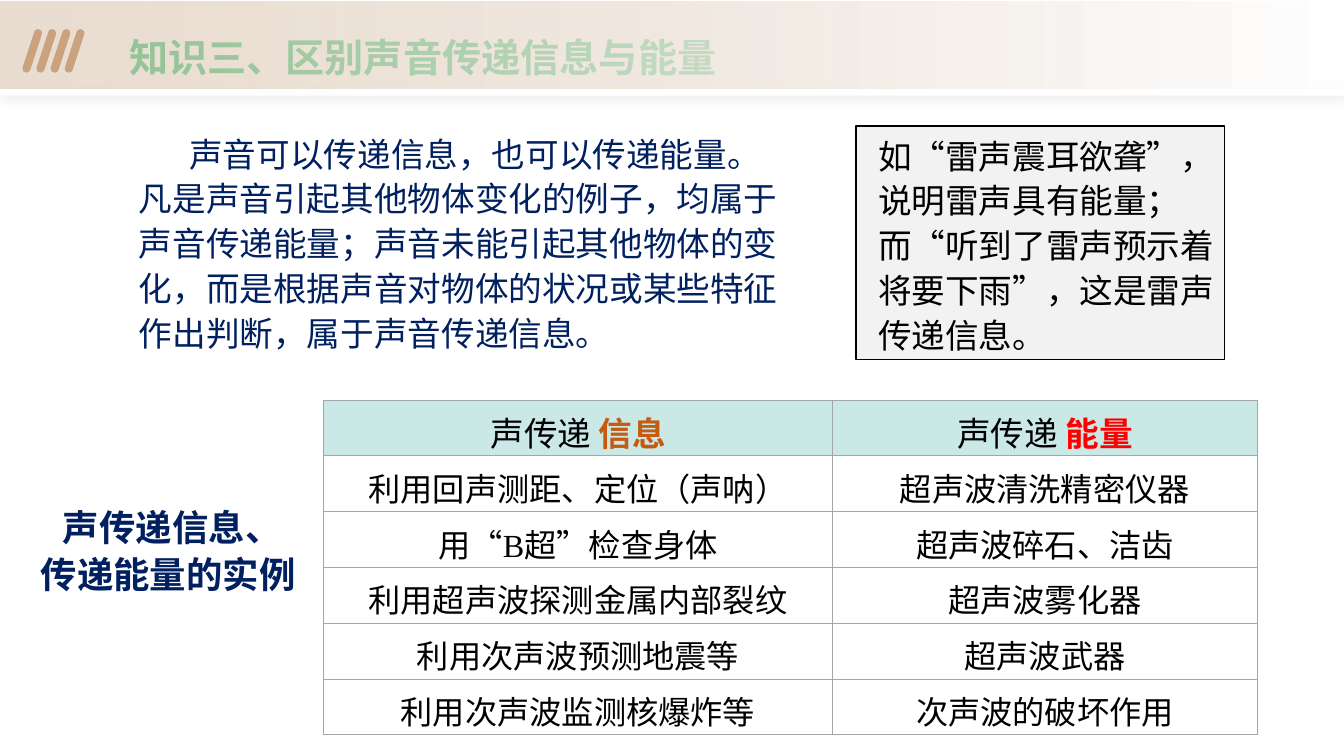
from pptx import Presentation
from pptx.dml.color import RGBColor
from pptx.enum.lang import MSO_LANGUAGE_ID as Language
from pptx.enum.shapes import MSO_SHAPE as Shape
from pptx.enum.text import MSO_ANCHOR as Anchor, PP_ALIGN as Align
from pptx.oxml.ns import qn
from pptx.util import Inches, Pt
from lxml.etree import SubElement

LATIN, CHINESE = "Times New Roman", "Noto Sans CJK SC"
BLACK, NAVY, WHITE = "000000", "002060", "FFFFFF"
WIDTH, HEIGHT = 13.33, 7.5

TITLE = "知识三、区别声音传递信息与能量"
RULE = ("声音可以传递信息，也可以传递能量。凡是声音引起其他物体变化的例子，"
        "均属于声音传递能量；声音未能引起其他物体的变化，而是根据声音对物体的状况"
        "或某些特征作出判断，属于声音传递信息。")
EXAMPLE = ("如“雷声震耳欲聋”，说明雷声具有能量；"
           "而“听到了雷声预示着将要下雨”，这是雷声传递信息。")
CAPTION = ["声传递信息、", "传递能量的实例 "]
HEADINGS = [("声传递 ", "信息", "C55A11"), ("声传递 ", "能量", "FF0000")]
ROWS = [
    (["利用回声测距、定位（声呐）"], ["超声波清洗精密仪器"]),
    (["用", "“", "B", "超”", "检查身体"], ["超声波碎石、洁齿"]),
    (["利用超声波探测金属内部裂纹"], ["超声波雾化器"]),
    (["利用次声波预测地震等"], ["超声波武器"]),
    (["利用次声波监测核爆炸等"], ["次声波的破坏作用"]),
]
COLUMN_WIDTHS = [5.05, 4.21]
ROW_HEIGHT = 3.32 / (len(ROWS) + 1)


def color(value):
    return RGBColor.from_string(value)


def box(left, top, width, height):
    return [Inches(length) for length in (left, top, width, height)]


def add_run(paragraph, text, size, value=BLACK, bold=False):
    run = paragraph.add_run()
    run.text = text
    font = run.font
    font.size, font.bold, font.name = Pt(size), bold, LATIN
    font.color.rgb = color(value)
    font.language_id = Language.SIMPLIFIED_CHINESE
    quoted = any(mark in text for mark in "“”") and len(text) < 3
    if quoted:
        font.name = CHINESE
    SubElement(run.font._element, qn("a:ea"), typeface=CHINESE)


def set_frame(frame, horizontal=0.1, vertical=0.05, anchor=Anchor.TOP):
    frame.word_wrap = True
    frame.vertical_anchor = anchor
    frame.margin_left = frame.margin_right = Inches(horizontal)
    frame.margin_top = frame.margin_bottom = Inches(vertical)


def set_indent(paragraph, left, first):
    properties = paragraph._p.get_or_add_pPr()
    properties.set("marL", str(Inches(left)))
    properties.set("indent", str(Inches(first)))


def add_shape(kind, place, fill, line=None):
    shape = slide.shapes.add_shape(kind, *box(*place))
    shape.shadow.inherit = False
    shape.fill.solid()
    shape.fill.fore_color.rgb = color(fill)
    if line:
        shape.line.color.rgb = color(line)
        shape.line.width = Pt(0.75)
    else:
        shape.line.fill.background()
    return shape


def add_border(cell, side):
    line = SubElement(cell._tc.get_or_add_tcPr(), qn("a:" + side), w=str(Pt(0.75)))
    fill = SubElement(line, qn("a:solidFill"))
    SubElement(fill, qn("a:srgbClr"), val="A6A6A6")


def format_cell(cell, fill=None):
    for side in ("lnL", "lnR", "lnT", "lnB"):
        add_border(cell, side)
    if fill:
        cell.fill.solid()
        cell.fill.fore_color.rgb = color(fill)
    else:
        cell.fill.background()
    cell.vertical_anchor = Anchor.MIDDLE
    cell.margin_left = cell.margin_right = Inches(0.1)
    cell.margin_top = cell.margin_bottom = 0
    paragraph = cell.text_frame.paragraphs[0]
    paragraph.alignment = Align.CENTER
    paragraph.line_spacing = 1.15
    return paragraph


presentation = Presentation()
presentation.slide_width, presentation.slide_height = Inches(WIDTH), Inches(HEIGHT)
slide = presentation.slides.add_slide(presentation.slide_layouts[5])

edge = add_shape(Shape.RECTANGLE, (0, 0.88, WIDTH, 0.07), WHITE)
shadow = SubElement(edge._element.spPr.find(qn("a:effectLst")), qn("a:outerShdw"),
                    blurRad=str(Pt(8)), dist=str(Pt(3)), dir=str(45 * 60000))
tint = SubElement(shadow, qn("a:srgbClr"), val=BLACK)
SubElement(tint, qn("a:alpha"), val="10000")

banner = add_shape(Shape.RECTANGLE, (0, 0.02, WIDTH, 0.86), WHITE)
banner.fill.gradient()
banner.fill.gradient_angle = 0
for stop, value, position in zip(banner.fill.gradient_stops, ("DECAB7", WHITE), (0, 1)):
    stop.color.rgb = color(value)
    stop.position = position
first_color = next(banner._element.spPr.iter(qn("a:srgbClr")))
SubElement(first_color, qn("a:alpha"), val="63000")

for index in range(4):
    stripe = add_shape(Shape.ROUNDED_RECTANGLE, (0.28 + 0.14 * index, 0.28, 0.08, 0.45), "CAA27E")
    stripe.adjustments[0] = 0.5
    stripe.rotation = 18.1

title = slide.shapes.title
title.left, title.top, title.width, title.height = box(1.28, 0.33, 6.23, 0.47)
set_frame(title.text_frame, 0, 0)
heading = title.text_frame.paragraphs[0]
heading.alignment = Align.LEFT
add_run(heading, TITLE, 28, "00B050", True)

rule = slide.shapes.add_textbox(*box(1.28, 1.23, 6.54, 2.31))
set_frame(rule.text_frame)
paragraph = rule.text_frame.paragraphs[0]
set_indent(paragraph, 0, 0.5)
paragraph.line_spacing = Pt(32)
add_run(paragraph, RULE, 24, NAVY)

table = slide.shapes.add_table(len(ROWS) + 1, len(COLUMN_WIDTHS),
                               *box(3.21, 3.97, sum(COLUMN_WIDTHS), 3.32)).table
for column, width in zip(table.columns, COLUMN_WIDTHS):
    column.width = Inches(width)
for row in table.rows:
    row.height = Inches(ROW_HEIGHT)
for column, (lead, key, value) in enumerate(HEADINGS):
    paragraph = format_cell(table.cell(0, column), "C9E8E6")
    add_run(paragraph, lead, 24)
    add_run(paragraph, key, 24, value, True)
for row, cells in enumerate(ROWS, 1):
    for column, parts in enumerate(cells):
        paragraph = format_cell(table.cell(row, column))
        for part in parts:
            add_run(paragraph, part, 23)

caption = slide.shapes.add_textbox(*box(0.21, 4.9, 3, 1.04))
set_frame(caption.text_frame, 0.13, 0.07)
for index, text in enumerate(CAPTION):
    frame = caption.text_frame
    paragraph = frame.add_paragraph() if index else frame.paragraphs[0]
    paragraph.alignment = Align.CENTER
    paragraph.line_spacing = Pt(34)
    add_run(paragraph, text, 26, NAVY, True)

example = add_shape(Shape.RECTANGLE, (8.49, 1.25, 3.66, 2.32), "F2F2F2", BLACK)
set_frame(example.text_frame)
paragraph = example.text_frame.paragraphs[0]
paragraph.alignment = Align.LEFT
set_indent(paragraph, 0.12, 0)
paragraph.line_spacing = Pt(32)
add_run(paragraph, EXAMPLE, 24)

presentation.save("out.pptx")
